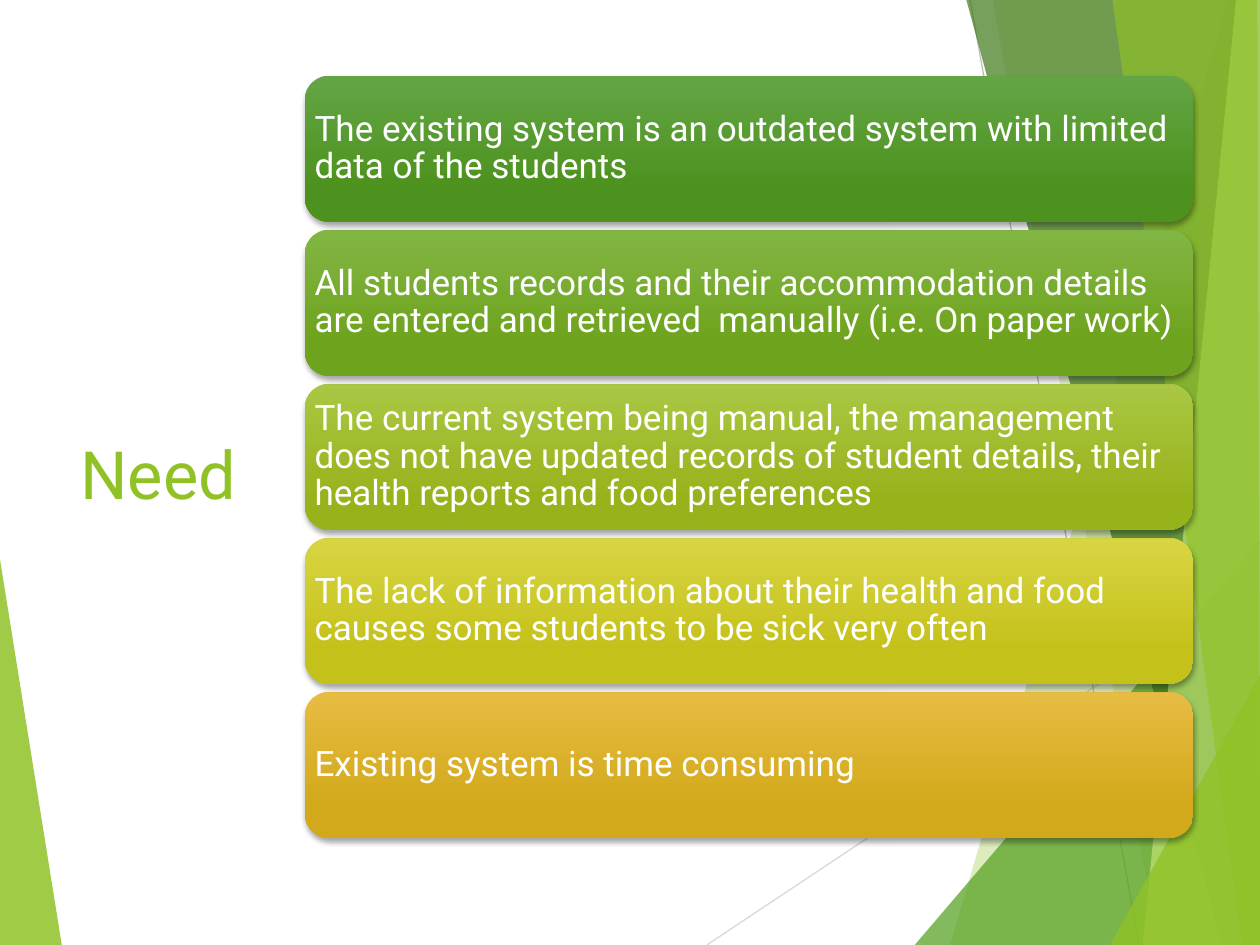
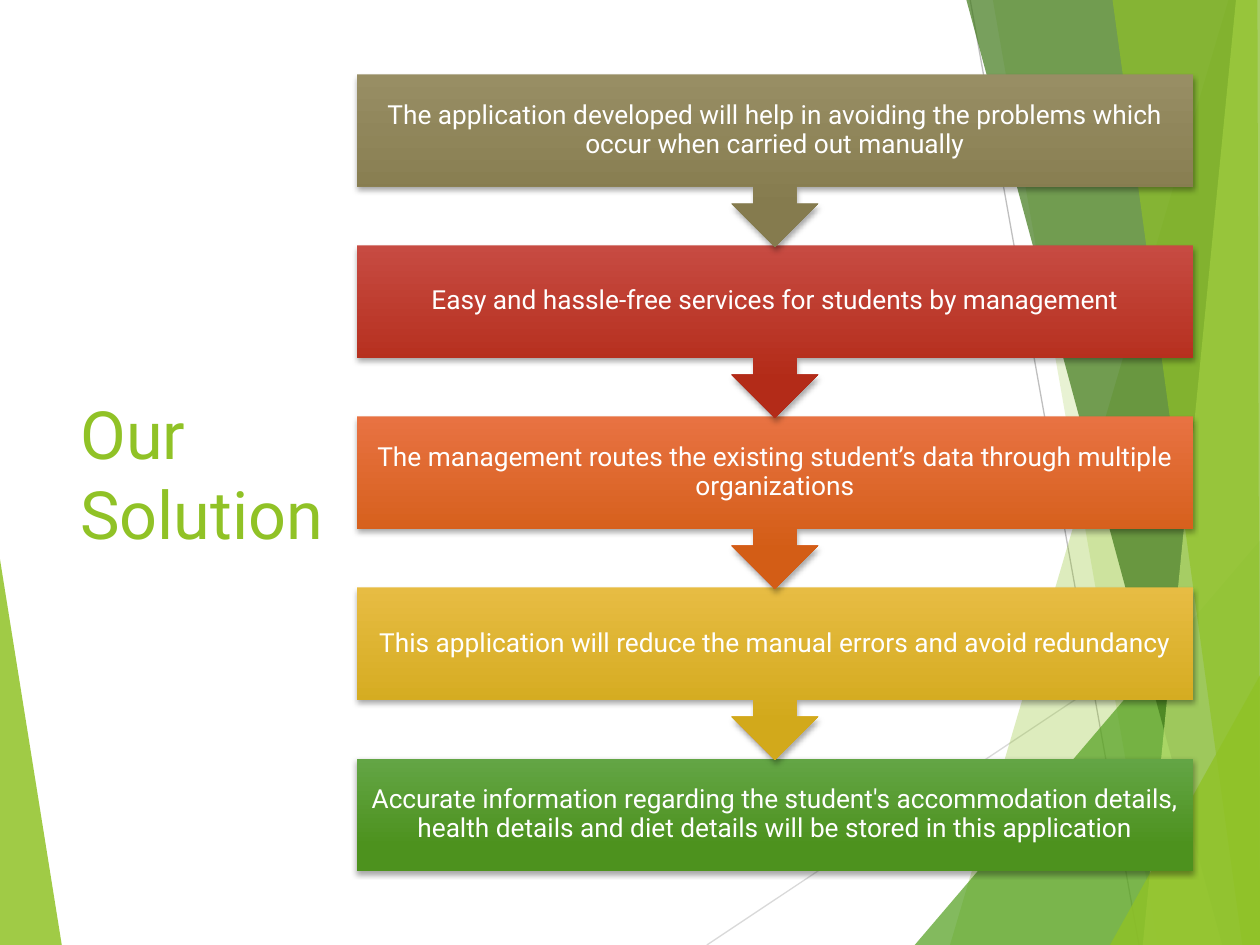
from lxml import etree
from pptx import Presentation
from pptx import util as u
from pptx.dml.color import RGBColor
from pptx.enum import shapes, text
from pptx.oxml.ns import qn

FONT = "Roboto"
LIME, WHITE = "90C226", "FFFFFF"
FOREST, GOLD = ("63A545", "4D921E"), ("E7BC43", "D2A91B")

EDGE_LINES = [
    ((5.61, 7.5), (10.01, 4.57), "D9D9D9"),
    ((7.7, 0), (9.04, 7.5), "BFBFBF"),
]
LEFT_FACET = ([(0, 4.44), (0.49, 7.5), (0, 7.5)], LIME, 85)
RIGHT_FACETS = [
    ([(9.75, 0), (7.54, 7.5), (10, 7.5), (10, 0)], LIME, 30),
    ([(7.88, 0), (9.19, 7.5), (10, 7.5), (10, 0)], LIME, 20),
    ([(7.26, 7.5), (10, 4.29), (10, 7.5)], "54A021", 72),
    ([(7.67, 0), (9.7, 7.5), (10, 7.5), (10, 0)], "3F7819", 70),
    ([(9.81, 0), (9.07, 7.5), (10, 7.5), (10, 0)], "C0E474", 70),
    ([(8.83, 0), (9.86, 7.5), (10, 7.5), (9.98, 0)], LIME, 65),
    ([(8.81, 7.5), (10, 5.36), (10, 7.5)], LIME, 80),
]

NEEDS = [
    ("The existing system is an outdated system with limited data of the students", FOREST),
    ("All students records and their accommodation details are entered and retrieved  manually "
     "(i.e. On paper work)", ("82B644", "6EA31D")),
    ("The current system being manual, the management does not have updated records of student "
     "details, their health reports and food preferences", ("AAC744", "97B31C")),
    ("The lack of information about their health and food causes some students to be sick very often",
     ("D8D543", "C4C11A")),
    ("Existing system is time consuming", GOLD),
]
SOLUTION_STEPS = [
    ("The application developed will help in avoiding the problems which occur when carried out "
     "manually", ("988E64", "857B4E")),
    ("Easy and hassle-free services for students by management", ("C74B42", "B32B18")),
    ("The management routes the existing student’s data through multiple organizations",
     ("E87242", "D35D16")),
    ("This application will reduce the manual errors and avoid redundancy", GOLD),
    ("Accurate information regarding the student's accommodation details, health details and diet "
     "details will be stored in this application", FOREST),
]


def color(hex_string):
    return RGBColor.from_string(hex_string)


def write(shape, words, size, hex_string, align, inset=None):
    frame = shape.text_frame
    frame.text = words
    frame.word_wrap = True
    frame.vertical_anchor = text.MSO_ANCHOR.MIDDLE
    if inset is not None:
        frame.margin_left = frame.margin_right = u.Inches(inset)
        frame.margin_top = frame.margin_bottom = u.Inches(inset)
    paragraph = frame.paragraphs[0]
    paragraph.alignment = align
    font = paragraph.runs[0].font
    font.name, font.size = FONT, u.Pt(size)
    font.color.rgb = color(hex_string)
    return paragraph


def add_facet(slide, points, hex_string, opacity):
    corners = [(u.Inches(x), u.Inches(y)) for x, y in points]
    builder = slide.shapes.build_freeform(*corners[0])
    builder.add_line_segments(corners[1:], close=True)
    shape = builder.convert_to_shape()
    shape.shadow.inherit = False
    shape.line.fill.background()
    shape.fill.solid()
    shape.fill.fore_color.rgb = color(hex_string)
    fill_color = shape._element.spPr.find(".//" + qn("a:srgbClr"))
    etree.SubElement(fill_color, qn("a:alpha"), val=str(opacity * 1000))


def add_edge_line(slide, start, end, hex_string):
    ends = [u.Inches(value) for value in start + end]
    connector = slide.shapes.add_connector(shapes.MSO_CONNECTOR.STRAIGHT, *ends)
    connector.line.color.rgb = color(hex_string)
    connector.line.width = u.Pt(0.75)
    etree.SubElement(connector._element.spPr, qn("a:effectLst"))


def add_base_slide(presentation, title):
    slide = presentation.slides.add_slide(presentation.slide_layouts[6])
    add_facet(slide, *LEFT_FACET)
    for edge_line in EDGE_LINES:
        add_edge_line(slide, *edge_line)
    for facet in RIGHT_FACETS:
        add_facet(slide, *facet)
    box = slide.shapes.add_textbox(u.Inches(0.54), u.Inches(1.51), u.Inches(2.91), u.Inches(4.48))
    write(box, title, 38, LIME, text.PP_ALIGN.LEFT)
    return slide


def add_card(slide, kind, left, top, width, height, gradient):
    shape = slide.shapes.add_shape(kind, *[u.Inches(value) for value in (left, top, width, height)])
    shape.line.fill.background()
    shape.fill.gradient()
    shape.fill.gradient_angle = 270
    for stop, hex_string, position in zip(shape.fill.gradient_stops, gradient, (0, 0.78)):
        stop.color.rgb = color(hex_string)
        stop.position = position
    shape.shadow.inherit = False
    effects = shape._element.spPr.find(qn("a:effectLst"))
    shadow = etree.SubElement(effects, qn("a:outerShdw"), blurRad=str(u.Pt(3)), dist=str(u.Pt(2)),
                              dir="5400000", algn="ctr", rotWithShape="0")
    black = etree.SubElement(shadow, qn("a:srgbClr"), val="000000")
    etree.SubElement(black, qn("a:alpha"), val="35000")
    return shape


def add_stack(slide, items, kind, last_kind, left, top, bottom, height, last_height, size, align, inset):
    pitch = (bottom - top - last_height) / (len(items) - 1)
    last = len(items) - 1
    for index, (words, gradient) in reversed(list(enumerate(items))):
        card_kind, card_height = (last_kind, last_height) if index == last else (kind, height)
        card = add_card(slide, card_kind, left, top + index * pitch, 9.47 - left, card_height, gradient)
        write(card, words, size, WHITE, align, inset).line_spacing = 0.9


def main():
    presentation = Presentation()
    presentation.slide_width, presentation.slide_height = u.Inches(10), u.Inches(7.5)
    kinds = shapes.MSO_SHAPE

    need = add_base_slide(presentation, "Need")
    add_stack(need, NEEDS, kinds.ROUNDED_RECTANGLE, kinds.ROUNDED_RECTANGLE, left=2.42, top=0.6,
              bottom=6.65, height=1.16, last_height=1.16, size=20, align=text.PP_ALIGN.LEFT, inset=0.02)

    solution = add_base_slide(presentation, "Our Solution")
    add_stack(solution, SOLUTION_STEPS, kinds.DOWN_ARROW_CALLOUT, kinds.RECTANGLE, left=2.83, top=0.59,
              bottom=6.91, height=1.37, last_height=0.89, size=15, align=text.PP_ALIGN.CENTER, inset=0.12)

    presentation.save("out.pptx")


if __name__ == "__main__":
    main()
